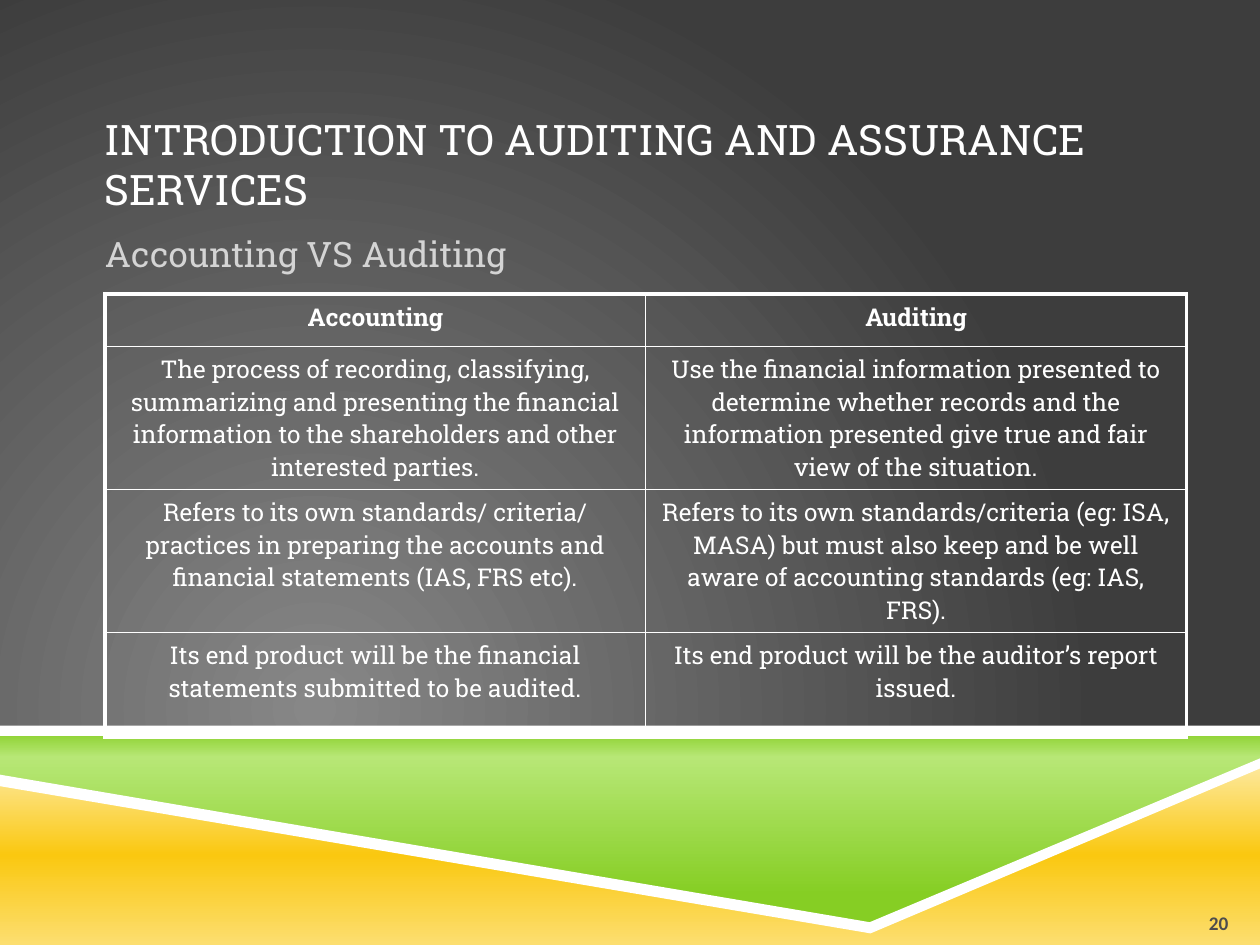
from dataclasses import dataclass

from lxml import etree
from pptx import Presentation
from pptx.dml.color import RGBColor
from pptx.enum.shapes import MSO_SHAPE
from pptx.enum.text import MSO_ANCHOR, PP_ALIGN
from pptx.oxml.ns import qn
from pptx.util import Pt

RECTANGLE = MSO_SHAPE.RECTANGLE
TOP, BOTTOM = MSO_ANCHOR.TOP, MSO_ANCHOR.BOTTOM
LEFT, CENTER, RIGHT = PP_ALIGN.LEFT, PP_ALIGN.CENTER, PP_ALIGN.RIGHT


@dataclass(frozen=True)
class Theme:
    """Colours, fonts and sizes of the slide."""
    white: str = "FFFFFF"
    subtitle: str = "D4D4D4"
    number: str = "4D4D4D"
    font: str = "Roboto Slab"
    number_font: str = "Calibri"
    title_size: float = 24
    subtitle_size: float = 20
    table_size: float = 14
    number_size: float = 11
    outer_line: float = 2.25
    inner_line: float = 1
    # Gradient stops: position in percent, colour
    backdrop: tuple = ((0, "878787"), (100, "3D3D3D"))
    green: tuple = ((0, "86CE24"), (14, "B7E776"), (83, "86CE24"))
    yellow: tuple = ((0, "FDE99F"), (50, "FAC810"), (100, "FCDE70"))


THEME = Theme()

ROWS = [
    ("Accounting", "Auditing"),
    ("The process of recording, classifying, summarizing and presenting the "
     "financial information to the shareholders and other interested parties.",
     "Use the financial information presented to determine whether records and "
     "the information presented give true and fair view of the situation."),
    ("Refers to its own standards/ criteria/ practices in preparing the accounts "
     "and financial statements (IAS, FRS etc).",
     "Refers to its own standards/criteria (eg: ISA, MASA) but must also keep and "
     "be well aware of accounting standards (eg: IAS, FRS)."),
    ("Its end product will be the financial statements submitted to be audited.",
     "Its end product will be the auditor’s report issued."),
]


def set_gradient(fill, owner, stops, angle=None):
    """Give a fill gradient stops, linear at an angle or else circular."""
    fill.gradient()
    gradient = next(owner.iter(qn("a:gradFill")))
    for child in list(gradient):
        gradient.remove(child)
    stop_list = etree.SubElement(gradient, qn("a:gsLst"))
    for position, colour in stops:
        stop = etree.SubElement(stop_list, qn("a:gs"), pos=str(position * 1000))
        etree.SubElement(stop, qn("a:srgbClr"), val=colour)
    if angle is None:
        circle = etree.SubElement(gradient, qn("a:path"), {"path": "circle"})
        etree.SubElement(circle, qn("a:fillToRect"),
                         l="50000", t="100000", r="100000", b="50000")
    else:
        etree.SubElement(gradient, qn("a:lin"), ang=str(angle * 60000), scaled="0")


def fill_white(shape):
    """Fill a shape with plain white."""
    shape.fill.solid()
    shape.fill.fore_color.rgb = RGBColor.from_string(THEME.white)


def add_outline(slide, left, top, points):
    """Add a closed, borderless outline; its points are relative to left and top."""
    corners = [(Pt(left + x), Pt(top + y)) for x, y in points]
    builder = slide.shapes.build_freeform(*corners[0], scale=1.0)
    builder.add_line_segments(corners[1:], close=True)
    shape = builder.convert_to_shape()
    shape.shadow.inherit = False
    shape.line.fill.background()
    return shape


def add_footer_art(slide, left, top, width, height):
    """Draw the green and yellow bands with their white edges."""
    green = add_outline(slide, left, top, [
        (0, 2.5), (width, 2), (width, 22.3), (496, 115.5), (0, 31)])
    set_gradient(green.fill, green.element, THEME.green, 90)

    yellow = add_outline(slide, left, top, [
        (0, 32), (498, 116.5), (width, 22.3), (width, height), (0, height)])
    set_gradient(yellow.fill, yellow.element, THEME.yellow, 90)

    bar = slide.shapes.add_shape(RECTANGLE, Pt(left), Pt(top), Pt(width), Pt(5.8))
    bar.shadow.inherit = False
    bar.line.fill.background()
    fill_white(bar)

    fill_white(add_outline(slide, left, top, [
        (0, 28), (497, 112.3), (width, 18.7), (width, 24.5), (497.5, 118.7), (0, 34.6)]))


def style_paragraph(paragraph, size, colour, font=THEME.font, bold=False, align=LEFT):
    """Set alignment and font on a paragraph and its runs."""
    paragraph.alignment = align
    for run in paragraph.runs:
        run.font.size = Pt(size)
        run.font.name = font
        run.font.bold = bold
        run.font.color.rgb = RGBColor.from_string(colour)


def add_text(slide, box, text, size, colour, anchor=TOP, bottom_inset=3.6, **style):
    """Add a one-paragraph text box and return its paragraph."""
    text_frame = slide.shapes.add_textbox(*map(Pt, box)).text_frame
    text_frame.word_wrap = True
    text_frame.vertical_anchor = anchor
    text_frame.margin_left = text_frame.margin_right = 0
    text_frame.margin_top, text_frame.margin_bottom = Pt(3.6), Pt(bottom_inset)
    text_frame.text = text
    paragraph = text_frame.paragraphs[0]
    style_paragraph(paragraph, size, colour, **style)
    return paragraph


def add_heading(slide, left, top, width):
    """Place the title with the subtitle beneath it."""
    add_text(slide, (left, top, width, 72),
             "INTRODUCTION TO AUDITING AND ASSURANCE SERVICES",
             THEME.title_size, THEME.white, BOTTOM)
    subtitle = add_text(slide, (left, top + 78, width, 36), "Accounting VS Auditing",
                        THEME.subtitle_size, THEME.subtitle)
    subtitle.line_spacing = 0.9
    subtitle.space_before = Pt(7)


def set_borders(cell, widths):
    """Draw white cell borders; widths run left, right, top, bottom."""
    properties = cell._tc.get_or_add_tcPr()
    for index, (side, width) in enumerate(zip("LRTB", widths)):
        line = etree.Element(qn(f"a:ln{side}"), w=str(Pt(width)))
        solid = etree.SubElement(line, qn("a:solidFill"))
        etree.SubElement(solid, qn("a:srgbClr"), val=THEME.white)
        properties.insert(index, line)


def add_comparison(slide, left, top, width, row_heights):
    """Place the comparison table, with a heavier line around its outside."""
    last_row, last_column = len(ROWS) - 1, len(ROWS[0]) - 1
    table = slide.shapes.add_table(
        len(ROWS), len(ROWS[0]), Pt(left), Pt(top), Pt(width), Pt(sum(row_heights))).table
    table.first_row = table.horz_banding = False
    for column in table.columns:
        column.width = Pt(width / len(ROWS[0]))
    for row_index, texts in enumerate(ROWS):
        table.rows[row_index].height = Pt(row_heights[row_index])
        for column_index, text in enumerate(texts):
            cell = table.cell(row_index, column_index)
            cell.fill.background()
            cell.text_frame.text = text
            style_paragraph(cell.text_frame.paragraphs[0], THEME.table_size,
                            THEME.white, bold=row_index == 0, align=CENTER)
            outside = (column_index == 0, column_index == last_column,
                       row_index == 0, row_index == last_row)
            set_borders(cell, [THEME.outer_line if edge else THEME.inner_line
                               for edge in outside])


def build_slide(presentation):
    """Build the comparison slide."""
    slide = presentation.slides.add_slide(presentation.slide_layouts[6])
    set_gradient(slide.background.fill, slide.element, THEME.backdrop)
    add_footer_art(slide, 0, 414.7, 720, 125.3)
    add_heading(slide, 60, 54, 612)
    add_text(slide, (666, 505, 36, 28.8), "20", THEME.number_size, THEME.number,
             BOTTOM, 0, font=THEME.number_font, bold=True, align=RIGHT)
    add_comparison(slide, 60, 168, 618, (30, 81.7, 81.7, 60))


presentation = Presentation()
presentation.slide_width, presentation.slide_height = Pt(720), Pt(540)
build_slide(presentation)
presentation.save("out.pptx")
